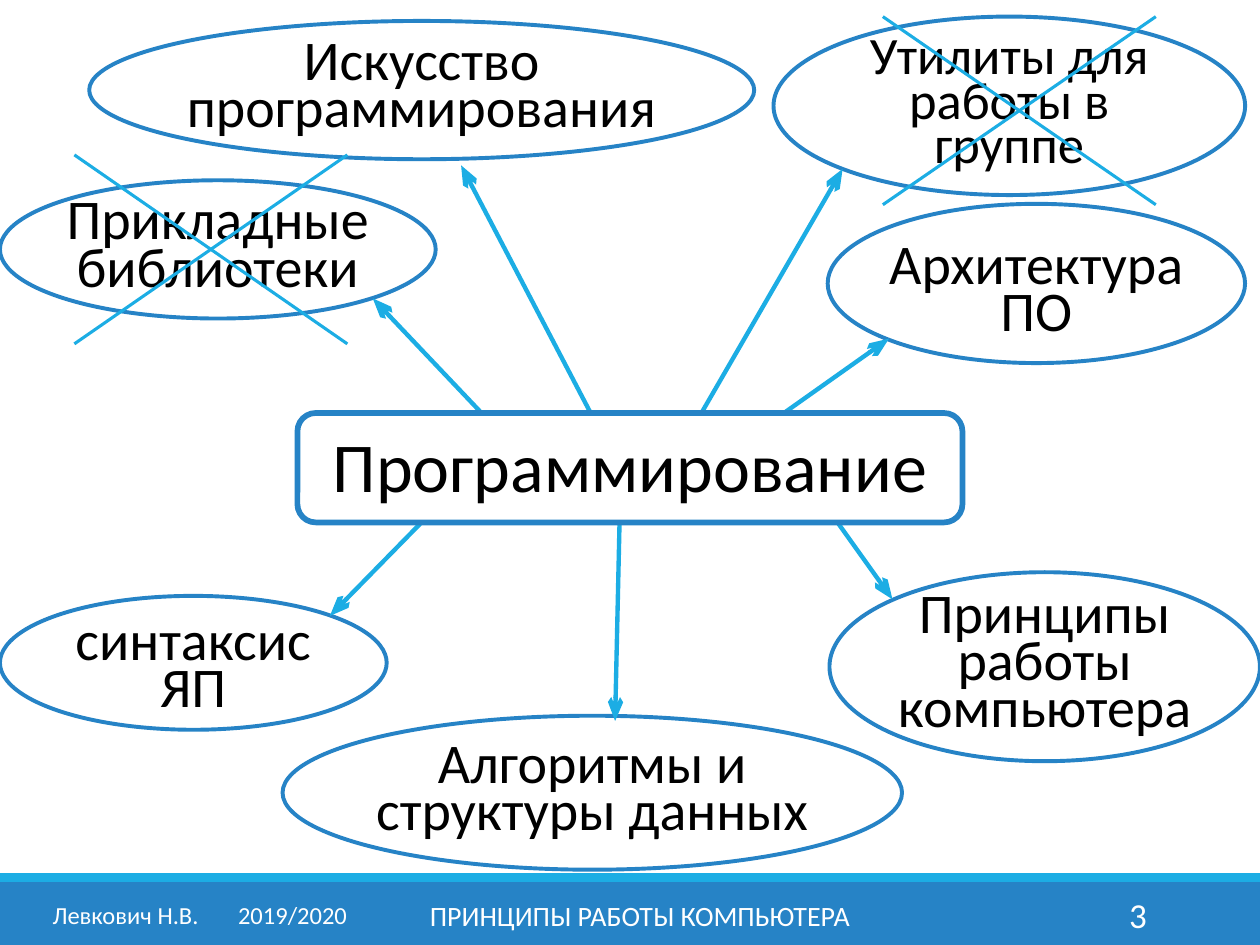
from dataclasses import dataclass

import lxml.etree
import pptx
import pptx.dml.color
import pptx.enum.shapes
import pptx.enum.text
import pptx.oxml.ns
import pptx.util

Pt = pptx.util.Pt
Shape = pptx.enum.shapes.MSO_SHAPE
Align = pptx.enum.text.PP_ALIGN

BLUE = "2683C6"
CYAN = "1CADE4"
WHITE = "FFFFFF"
BLACK = "000000"
DEFAULT_INSETS = (7.2, 3.6, 7.2, 3.6)
TOPIC_INSETS = (0, 3.6, 0, 3.6)


@dataclass(frozen=True)
class Area:
    left: float
    top: float
    width: float
    height: float

    def lengths(self) -> list:
        return [Pt(value) for value in (self.left, self.top, self.width, self.height)]


@dataclass(frozen=True)
class Label:
    text: str
    size: float
    color: str = BLACK
    align: Align = Align.CENTER
    spacing: float = 1.0
    insets: tuple = DEFAULT_INSETS


@dataclass(frozen=True)
class Topic:
    area: Area
    text: str
    insets: tuple = TOPIC_INSETS
    size: float = 32


@dataclass(frozen=True)
class Line:
    x1: float
    y1: float
    x2: float
    y2: float


TOPICS = [
    Topic(Area(0, 340.5, 221, 76.5), "синтаксис ЯП", (0, 8.5, 0, 0)),
    Topic(Area(161.5, 409, 354, 88), "Алгоритмы и структуры данных"),
    Topic(Area(474, 327, 246, 108), "Принципы работы компьютера"),
    Topic(Area(0, 103, 249, 79), "Прикладные библиотеки"),
    Topic(Area(51, 12, 380, 79), "Искусство программирования"),
    Topic(Area(473, 116.5, 238.5, 91), "Архитектура ПО", (0, 11.5, 0, 0)),
    Topic(Area(442, 9.5, 269.5, 102), "Утилиты для работы в группе", size=30),
]

ARROWS = [
    Line(260.5, 278.5, 188.5, 352),
    Line(354.5, 278.5, 351.5, 412),
    Line(472.5, 290, 510, 342.5),
    Line(278, 239, 213, 170.5),
    Line(448, 236, 508, 193.5),
    Line(396.5, 243.5, 481.5, 96.5),
    Line(337.5, 236, 263.5, 94.5),
]

CROSSES = [Area(42.5, 88.5, 156, 108), Area(504.5, 9.5, 156, 107.5)]

FOOTERS = [
    (Area(23, 508.5, 188, 28.5), Label("Левкович Н.В.\t2019/2020", 14, WHITE, Align.LEFT)),
    (Area(217.5, 508.5, 296.5, 28.5), Label("ПРИНЦИПЫ РАБОТЫ КОМПЬЮТЕРА", 16, WHITE)),
    (Area(584.5, 508.5, 78, 28.5), Label("3", 20, WHITE, Align.RIGHT)),
]


def rgb(value: str) -> pptx.dml.color.RGBColor:
    return pptx.dml.color.RGBColor.from_string(value)


def apply(target, values: dict) -> None:
    for name, value in values.items():
        setattr(target, name, value)


def write_label(shape, label: Label):
    frame = shape.text_frame
    left, top, right, bottom = (Pt(inset) for inset in label.insets)
    apply(frame, {
        "word_wrap": True,
        "vertical_anchor": pptx.enum.text.MSO_ANCHOR.MIDDLE,
        "margin_left": left,
        "margin_top": top,
        "margin_right": right,
        "margin_bottom": bottom,
    })
    para = frame.paragraphs[0]
    apply(para, {"alignment": label.align, "line_spacing": label.spacing})
    span = para.add_run()
    span.text = label.text
    apply(span.font, {"name": "Calibri", "size": Pt(label.size)})
    span.font.color.rgb = rgb(label.color)
    return para


def add_tab_stop(para, position: float) -> None:
    properties = para._p.get_or_add_pPr()
    tabs = lxml.etree.SubElement(properties, pptx.oxml.ns.qn("a:tabLst"))
    lxml.etree.SubElement(
        tabs, pptx.oxml.ns.qn("a:tab"), pos=str(int(Pt(position))), algn="l"
    )


def draw_shape(page, kind: Shape, area: Area, fill: str, line_width: float = 0):
    shape = page.shapes.add_shape(kind, *area.lengths())
    shape.shadow.inherit = False
    shape.fill.solid()
    shape.fill.fore_color.rgb = rgb(fill)
    if line_width:
        shape.line.color.rgb = rgb(BLUE)
        shape.line.width = Pt(line_width)
    else:
        shape.line.fill.background()
    return shape


def draw_line(page, line: Line, width: float, arrow: bool = False) -> None:
    ends = [Pt(value) for value in (line.x1, line.y1, line.x2, line.y2)]
    connector = page.shapes.add_connector(pptx.enum.shapes.MSO_CONNECTOR.STRAIGHT, *ends)
    connector.line.color.rgb = rgb(CYAN)
    connector.line.width = Pt(width)
    properties = connector._element.spPr
    if arrow:
        outline = properties.find(pptx.oxml.ns.qn("a:ln"))
        lxml.etree.SubElement(
            outline, pptx.oxml.ns.qn("a:tailEnd"), type="arrow", w="med", len="lg"
        )
    lxml.etree.SubElement(properties, pptx.oxml.ns.qn("a:effectLst"))


def draw_cross(page, area: Area) -> None:
    right, bottom = area.left + area.width, area.top + area.height
    draw_line(page, Line(area.left, area.top, right, bottom), 1.75)
    draw_line(page, Line(right, area.top, area.left, bottom), 1.75)


def draw_footer(page) -> None:
    draw_shape(page, Shape.RECTANGLE, Area(0, 504, 720, 36), BLUE)
    draw_shape(page, Shape.RECTANGLE, Area(0, 499, 720, 5), CYAN)
    for area, label in FOOTERS:
        box = page.shapes.add_textbox(*area.lengths())
        para = write_label(box, label)
        if "\t" in label.text:
            add_tab_stop(para, 106)


def main() -> None:
    deck = pptx.Presentation()
    apply(deck, {"slide_width": Pt(720), "slide_height": Pt(540)})
    page = deck.slides.add_slide(deck.slide_layouts.get_by_name("Blank"))
    draw_footer(page)
    for topic in TOPICS:
        ellipse = draw_shape(page, Shape.OVAL, topic.area, WHITE, 2.25)
        write_label(ellipse, Label(topic.text, topic.size, spacing=0.7, insets=topic.insets))
    for arrow in ARROWS:
        draw_line(page, arrow, 2.5, arrow=True)
    center = draw_shape(page, Shape.ROUNDED_RECTANGLE, Area(170, 236, 380, 62.5), WHITE, 3.25)
    write_label(center, Label("Программирование", 40, insets=(7.2, 0, 7.2, 3.6)))
    for area in CROSSES:
        draw_cross(page, area)
    deck.save("out.pptx")


if __name__ == "__main__":
    main()
